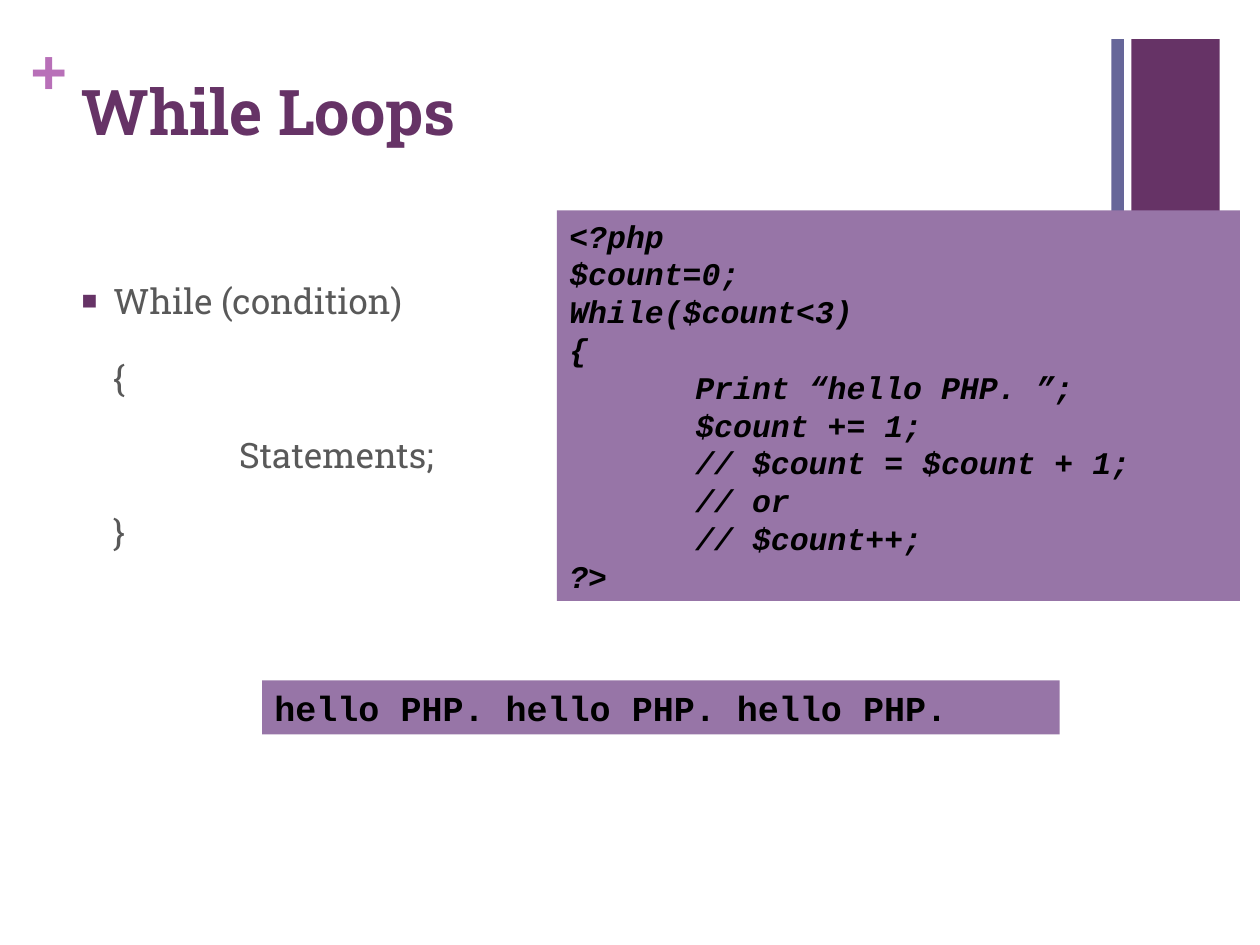
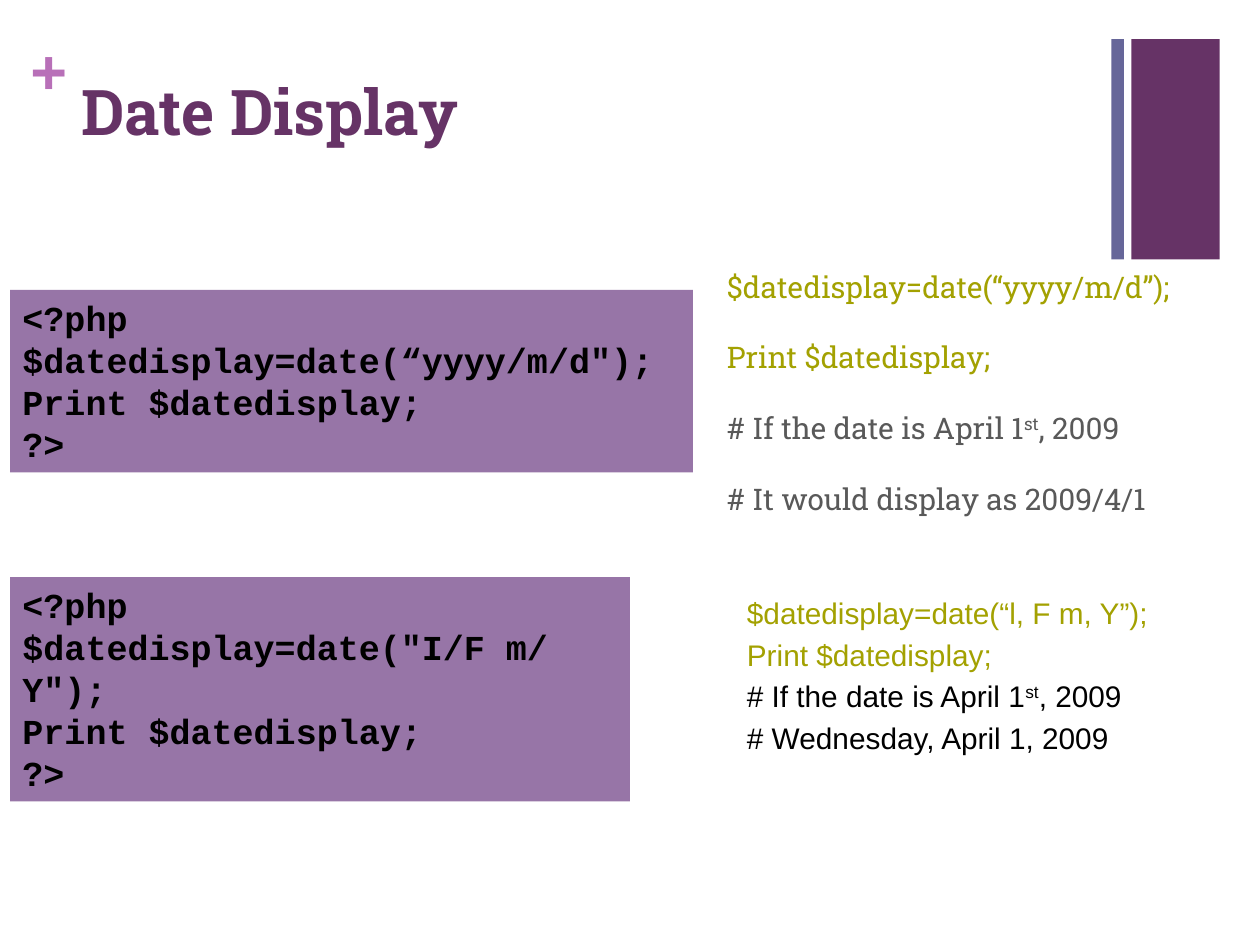
from lxml import etree
from pptx import Presentation
from pptx.dml.color import RGBColor
from pptx.enum.shapes import MSO_SHAPE
from pptx.enum.text import MSO_ANCHOR, PP_ALIGN
from pptx.oxml.ns import qn
from pptx.util import Pt

RECT = MSO_SHAPE.RECTANGLE
TOP = MSO_ANCHOR.TOP
LEFT = PP_ALIGN.LEFT
PX = 9144
TAB = 100

PLUM = "663366"
SLATE = "666699"
PINK = "B870B8"
MAUVE = "9775A7"
GRAY = "595959"
OLIVE = "A3A101"
BLACK = "000000"
SLAB = "Roboto Slab"
SANS = "Arial"
MONO = "Courier New"


def hue(code):
    return RGBColor.from_string(code)


def put(slide, box, lines=(), face=MONO, size=20, ink=BLACK, fill=None, bold=False, gap=0, hang=0):
    place = [n * PX for n in box]
    if fill:
        shape = slide.shapes.add_shape(RECT, *place)
        shape.shadow.inherit = False
        shape.fill.solid()
        shape.fill.fore_color.rgb = hue(fill)
        shape.line.fill.background()
    else:
        shape = slide.shapes.add_textbox(*place)
    frame = shape.text_frame
    frame.word_wrap = True
    frame.vertical_anchor = TOP
    for i, line in enumerate(lines):
        para = frame.add_paragraph() if i else frame.paragraphs[0]
        para.alignment = LEFT
        para.space_before = Pt(gap if i else 0)
        font = para.font
        font.name, font.size, font.bold = face, Pt(size), bold
        font.color.rgb = hue(ink)
        for j, part in enumerate(line.split("^")):
            run = para.add_run()
            run.text = part
            if j % 2:
                run._r.get_or_add_rPr().set("baseline", "30000")
        props = para._p.get_or_add_pPr()
        props.set("defTabSz", str(TAB * PX))
        if hang:
            props.set("marL", str(hang * PX))
            props.set("indent", str(-hang * PX))
    return frame


deck = Presentation()
deck.slide_width = 1000 * PX
deck.slide_height = 750 * PX

pages = []
for title in ("While Loops", "Date Display"):
    page = deck.slides.add_slide(deck.slide_layouts[6])
    put(page, (898, 31, 70, 175), fill=PLUM)
    plus = put(page, (24, 25, 29, 61), ["+"], SANS, 36, PINK, bold=True)
    plus.margin_left = plus.margin_top = plus.margin_right = plus.margin_bottom = 0
    put(page, (882, 31, 10, 175), fill=SLATE)
    put(page, (55, 53, 826, 122), [title], SLAB, 36, PLUM, bold=True)
    pages.append(page)
loops, dates = pages

body = put(loops, (55, 217, 826, 453),
           ["While (condition)", "\t{", "\t\tStatements;", "\t}"],
           SLAB, 20, GRAY, gap=20, hang=25)
props = body.paragraphs[0]._p.get_or_add_pPr()
marks = []
tint = etree.Element(qn("a:buClr"))
etree.SubElement(tint, qn("a:srgbClr"), val=PLUM)
marks.append(tint)
marks.append(etree.Element(qn("a:buSzPct"), val="75000"))
marks.append(etree.Element(qn("a:buFont"), typeface=SANS))
marks.append(etree.Element(qn("a:buChar"), char="■"))
spot = props.index(props.find(qn("a:defRPr")))
for i, mark in enumerate(marks):
    props.insert(spot + i, mark)

code = put(loops, (442, 167, 542, 310), [
    "<?php",
    "$count=0;",
    "While($count<3)",
    "{",
    "\tPrint “hello PHP. ”;",
    "\t$count += 1;",
    "\t// $count = $count + 1;",
    "\t// or",
    "\t// $count++;",
    "?>",
], size=18, fill=MAUVE, bold=True)
for para in code.paragraphs:
    para.font.italic = True
put(loops, (208, 540, 633, 43), ["hello PHP. hello PHP. hello PHP."], fill=MAUVE, bold=True)

show = "Print $datedisplay;"
given = "# If the date is April 1^st^, 2009"
for box, call in (
    ((8, 230, 542, 145), '$datedisplay=date(“yyyy/m/d");'),
    ((8, 458, 492, 178), '$datedisplay=date("I/F m/ Y");'),
):
    put(dates, box, ["<?php", call, show, "?>"], fill=MAUVE, bold=True)

for box, call, result, face, ink, gap, hang in (
    ((567, 208, 467, 192), "$datedisplay=date(“yyyy/m/d”);",
     "# It would display as 2009/4/1", SLAB, GRAY, 20, 25),
    ((583, 467, 467, 192), "$datedisplay=date(“l, F m, Y”);",
     "# Wednesday, April 1, 2009", SANS, BLACK, 3.4, 38),
):
    note = put(dates, box, [call, show, given, result], face, 17, ink, gap=gap, hang=hang)
    for para in note.paragraphs[:2]:
        para.font.color.rgb = hue(OLIVE)

deck.save("out.pptx")
